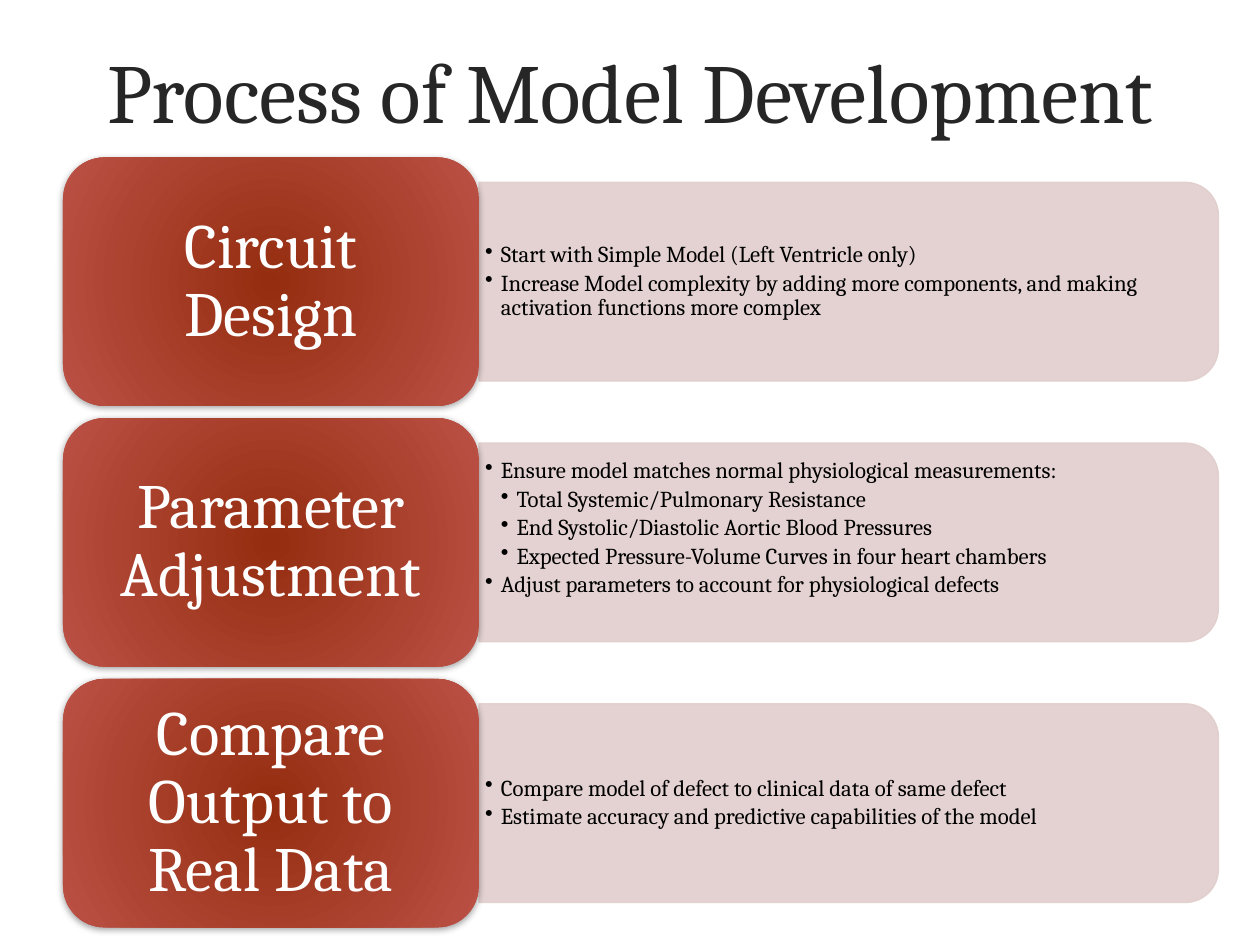
from dataclasses import dataclass

from lxml import etree
from pptx import Presentation, util as u
from pptx.dml.color import RGBColor
from pptx.enum import shapes, text
from pptx.oxml.ns import qn


@dataclass(frozen=True)
class Theme:
    """Colours, font and type sizes of the slide."""
    font: str = "Cambria"
    title: str = "262626"
    body: str = "000000"
    label: str = "FFFFFF"
    panel: str = "E1CECC"
    inner: str = "952D10"
    outer: str = "BA5145"
    title_pt: float = 48
    label_pt: float = 36
    body_pt: float = 13
    gap_pt: float = 2.2


@dataclass(frozen=True)
class Box:
    """A rectangle in inches that yields smaller ones by share."""
    x: float
    y: float
    w: float
    h: float

    def share(self, x, y, w, h):
        """Return the sub-box at the given shares."""
        return Box(self.x + x * self.w, self.y + y * self.h, w * self.w, h * self.h)

    def turned(self):
        """Return the box that covers this one after a quarter turn."""
        shift = (self.w - self.h) / 2
        return Box(self.x + shift, self.y - shift, self.h, self.w)

    def emu(self):
        """Return left, top, width and height as lengths."""
        return [u.Inches(v) for v in (self.x, self.y, self.w, self.h)]


T = Theme()
TITLE = "Process of Model Development"
STEPS = [
    ("Circuit Design", 0, [
        (1, "Start with Simple Model (Left Ventricle only)"),
        (1, "Increase Model complexity by adding more components, "
            "and making activation functions more complex")]),
    ("Parameter Adjustment", 0.22, [
        (1, "Ensure model matches normal physiological measurements:"),
        (2, "Total Systemic/Pulmonary Resistance"),
        (2, "End Systolic/Diastolic Aortic Blood Pressures"),
        (2, "Expected Pressure-Volume Curves in four heart chambers"),
        (1, "Adjust parameters to account for physiological defects")]),
    ("Compare Output to Real Data", 0, [
        (1, "Compare model of defect to clinical data of same defect"),
        (1, "Estimate accuracy and predictive capabilities of the model")]),
]


def rgb(value):
    """Return a colour from its hex form."""
    return RGBColor.from_string(value)


def child(parent, tag, **attrs):
    """Append a drawing element with the given attributes."""
    return etree.SubElement(parent, qn(tag), {k: str(v) for k, v in attrs.items()})


def set_frame(tf, dx, dy, lift=0):
    """Wrap and centre a text frame vertically, with its insets in inches."""
    tf.word_wrap = True
    tf.vertical_anchor = text.MSO_ANCHOR.MIDDLE
    tf.margin_left = tf.margin_right = u.Inches(dx)
    tf.margin_top, tf.margin_bottom = u.Inches(dy), u.Inches(dy + lift)


def style(p, size, color, align=text.PP_ALIGN.LEFT, spacing=0.9):
    """Set the font, alignment and line spacing of a paragraph."""
    p.font.name, p.font.size = T.font, u.Pt(size)
    p.font.color.rgb = rgb(color)
    p.alignment, p.line_spacing = align, spacing


def add_title(slide, box):
    """Place the centred slide title."""
    tf = slide.shapes.add_textbox(*box.emu()).text_frame
    set_frame(tf, 0.1, 0.05)
    p = tf.paragraphs[0]
    p.text = TITLE
    style(p, T.title_pt, T.title, text.PP_ALIGN.CENTER, 1.0)


def add_panel(slide, box):
    """Place the pale panel with rounded right corners."""
    kind = shapes.MSO_SHAPE.ROUND_2_SAME_RECTANGLE
    sp = slide.shapes.add_shape(kind, *box.turned().emu())
    sp.rotation = 90
    sp.shadow.inherit = False
    sp.line.width = u.Pt(0.75)
    for fill in (sp.fill, sp.line.fill):
        fill.solid()
        fill.fore_color.rgb = rgb(T.panel)
    for clr in sp._element.spPr.iter(qn("a:srgbClr")):
        child(clr, "a:alpha", val=90000)


def add_bullets(slide, box, items, lift):
    """Place the bulleted text, raised by half of the lift."""
    tf = slide.shapes.add_textbox(*box.emu()).text_frame
    set_frame(tf, 0.05, 0.03, lift)
    for i, (level, words) in enumerate(items):
        p = tf.add_paragraph() if i else tf.paragraphs[0]
        p.text, p.level = words, level
        style(p, T.body_pt, T.body)
        p.space_after = u.Pt(T.gap_pt)
        pPr = p._p.get_or_add_pPr()
        pPr.set("marL", str(u.Inches(0.125 * level)))
        pPr.set("indent", str(-u.Inches(0.125)))
        bullet = etree.Element(qn("a:buChar"), {"char": "•"})
        pPr.find(qn("a:defRPr")).addprevious(bullet)


def add_card(slide, box, label):
    """Place the shaded card with its label."""
    sp = slide.shapes.add_shape(shapes.MSO_SHAPE.ROUNDED_RECTANGLE, *box.emu())
    sp.line.fill.background()
    sp.fill.gradient()
    for stop, color in zip(sp.fill.gradient_stops, (T.inner, T.outer)):
        stop.color.rgb = rgb(color)
    spPr = sp._element.spPr
    grad = spPr.find(qn("a:gradFill"))
    grad.remove(grad.find(qn("a:lin")))
    ring = child(grad, "a:path")
    ring.set("path", "circle")
    child(ring, "a:fillToRect", l=40000, t=100000, r=40000, b=100000)
    sp.shadow.inherit = False
    shadow = child(spPr.find(qn("a:effectLst")), "a:outerShdw", blurRad=u.Pt(4),
                   dist=u.Pt(1), dir=5400000, rotWithShape=0)
    child(child(shadow, "a:srgbClr", val="000000"), "a:alpha", val=37000)
    set_frame(sp.text_frame, 0.15, 0.07)
    p = sp.text_frame.paragraphs[0]
    p.text = label
    style(p, T.label_pt, T.label, text.PP_ALIGN.CENTER)


def add_step(slide, box, label, lift, items):
    """Place one step: panel, bullets and card."""
    split = 0.36
    add_panel(slide, box.share(split, 0.1, 1 - split, 0.8))
    add_bullets(slide, box.share(split, 0.14, 0.63, 0.72), items, lift)
    add_card(slide, box.share(0, 0, split, 1), label)


def main():
    """Build and save the slide."""
    prs = Presentation()
    prs.slide_width, prs.slide_height = u.Inches(10), u.Inches(7.5)
    slide = prs.slides.add_slide(prs.slide_layouts[6])
    page = Box(0, 0, 10, 7.5)
    add_title(slide, page.share(0.05, 0.01, 0.9, 0.17))
    body = Box(0.5, 1.25, 9.17, 6.11)
    gap = 0.016
    row = (1 - gap * (len(STEPS) - 1)) / len(STEPS)
    for i, step in enumerate(STEPS):
        add_step(slide, body.share(0, i * (row + gap), 1, row), *step)
    prs.save("out.pptx")


if __name__ == "__main__":
    main()
